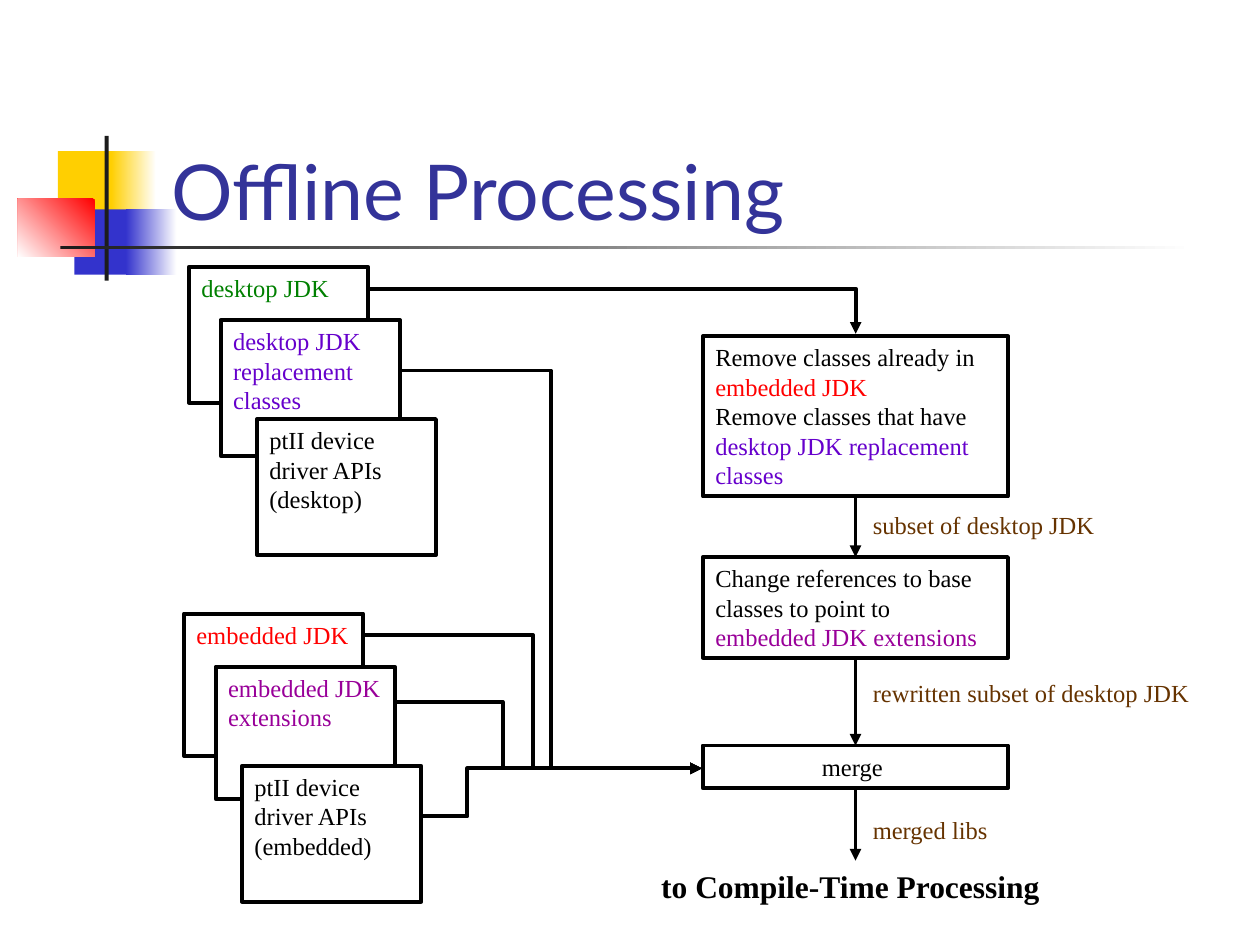
from lxml import etree
from pptx import Presentation
from pptx.dml.color import RGBColor
from pptx.enum.shapes import MSO_CONNECTOR, MSO_SHAPE
from pptx.enum.text import MSO_ANCHOR, PP_ALIGN
from pptx.oxml.ns import qn
from pptx.util import Cm, Pt

RECT = MSO_SHAPE.RECTANGLE
STRAIGHT, ELBOW = MSO_CONNECTOR.STRAIGHT, MSO_CONNECTOR.ELBOW
TOP, BOTTOM = MSO_ANCHOR.TOP, MSO_ANCHOR.BOTTOM
LEFT, CENTER = PP_ALIGN.LEFT, PP_ALIGN.CENTER
SERIF, SANS = "Times New Roman", "Lato"
STROKE = Pt(2.25)
COLORS = {
    "white": "FFFFFF", "black": "000000", "ink": "1C1C1C", "title": "333399",
    "yellow": "FFCF01", "blue": "3333CC", "red": "FF0000", "green": "008000",
    "violet": "6600CC", "purple": "990099", "brown": "663300",
}


def rgb(name):
    """Return the named colour."""
    return RGBColor.from_string(COLORS[name])


def write(frame, paras, size=14, font=SERIF, bold=False, align=LEFT, anchor=TOP):
    """Fill a frame with paragraphs of (text, colour) runs."""
    frame.word_wrap = True
    frame.vertical_anchor = anchor
    for i, parts in enumerate(paras):
        para = frame.add_paragraph() if i else frame.paragraphs[0]
        para.alignment = align
        for text, color in parts:
            run = para.add_run()
            run.text = text
            run.font.name, run.font.size, run.font.bold = font, Pt(size), bold
            run.font.color.rgb = rgb(color)


def label(slide, x, y, w, h, text, color, **style):
    """Add a one-line text box."""
    box = slide.shapes.add_textbox(Cm(x), Cm(y), Cm(w), Cm(h))
    write(box.text_frame, [[(text, color)]], **style)


def block(slide, x, y, w, h, color, fade=None, angle=0):
    """Add a borderless rectangle, plain or fading to a second colour."""
    shape = slide.shapes.add_shape(RECT, Cm(x), Cm(y), Cm(w), Cm(h))
    shape.shadow.inherit = False
    shape.line.fill.background()
    if fade:
        shape.fill.gradient()
        shape.fill.gradient_angle = angle
        for stop, name in zip(shape.fill.gradient_stops, (color, fade)):
            stop.color.rgb = rgb(name)
    else:
        shape.fill.solid()
        shape.fill.fore_color.rgb = rgb(color)
    return shape


def card(slide, x, y, w, h, paras, align=LEFT):
    """Add a white outlined box with text."""
    shape = block(slide, x, y, w, h, "white")
    shape.line.color.rgb = rgb("black")
    shape.line.width = STROKE
    write(shape.text_frame, paras, align=align)


def arrow(slide, x1, y1, x2, y2, kind=STRAIGHT):
    """Add a black line with an arrowhead and return it."""
    line = slide.shapes.add_connector(kind, Cm(x1), Cm(y1), Cm(x2), Cm(y2))
    line.line.color.rgb = rgb("black")
    line.line.width = STROKE
    props = line._element.spPr
    etree.SubElement(props.find(qn("a:ln")), qn("a:tailEnd"), type="triangle")
    etree.SubElement(props, qn("a:effectLst"))
    return line


def logo(slide, x, y):
    """Draw the coloured squares, the bar and the title rule."""
    block(slide, x + 0.81, y + 0.31, 1.22, 1.32, "yellow")
    block(slide, x + 1.88, y + 0.31, 0.91, 1.32, "yellow", "white")
    block(slide, x + 1.14, y + 1.48, 1.17, 1.32, "blue")
    block(slide, x + 2.18, y + 1.48, 1.02, 1.32, "blue", "white")
    block(slide, x, y + 1.27, 1.55, 1.17, "red", "white", 225)
    block(slide, x + 1.75, y, 0.08, 2.92, "ink")
    block(slide, x + 0.86, y + 2.21, 22.86, 0.08, "ink", "white")


def stack(slide, x, y, cards):
    """Draw overlapping cards from back to front."""
    for dx, dy, h, paras in cards:
        card(slide, x + dx, y + dy, 3.61, h, paras)


def links(slide, x, y):
    """Draw the bent arrows from the cards to the flow."""
    end = x + 6.86
    for dx, dy, bend in ((1.17, 10.64, 2.13), (0.66, 8.33, 2.84),
                         (0, 6.98, 3.45), (0.76, 1.65, 3.81)):
        line = arrow(slide, x + dx, y + dy, end, y + 9.67, ELBOW)
        ratio = (bend - dx) / (6.86 - dx)
        guides = line._element.spPr.find(qn("a:prstGeom")).find(qn("a:avLst"))
        etree.SubElement(guides, qn("a:gd"), name="adj1",
                         fmla=f"val {round(ratio * 100000)}")
    line = arrow(slide, x + 0.13, y, x + 9.96, y + 0.91, ELBOW)
    line._element.spPr.find(qn("a:prstGeom")).set("prst", "bentConnector2")


def flow(slide, x, y, w):
    """Draw the column of steps with its arrows and labels."""
    mid = x + w / 2
    for start, stop in ((2.31, 4.45), (6.12, 8.25), (9.09, 10.57)):
        arrow(slide, mid, y + start, mid, y + stop)
    for dy, wide, text in ((3.38, 6.15, "subset of desktop JDK"),
                           (6.76, 7.42, "rewritten subset of desktop JDK"),
                           (9.53, 3.07, "merged libs")):
        label(slide, mid + 0.1, y + dy, wide, 0.86, text, "brown")
    steps = (
        (0, 3.23, LEFT, [
            [("Remove classes already in ", "black"), ("embedded JDK", "red")],
            [("Remove classes that have ", "black"),
             ("desktop JDK replacement classes", "violet")]]),
        (4.45, 2.03, LEFT, [
            [("Change references to base classes to point to ", "black"),
             ("embedded JDK extensions", "purple")]]),
        (8.25, 0.86, CENTER, [[("merge ", "black")]]),
    )
    for dy, h, align, paras in steps:
        card(slide, x, y + dy, w, h, paras, align)
    label(slide, x - 1.47, y + 10.57, 8.89, 1.02, "to Compile-Time Processing",
          "black", size=18, bold=True, align=CENTER)


def main():
    """Build the slide and save it."""
    deck = Presentation()
    deck.slide_width, deck.slide_height = Cm(25.4), Cm(19.05)
    slide = deck.slides.add_slide(deck.slide_layouts[6])
    logo(slide, 0.36, 2.74)
    label(slide, 3.2, 1.7, 21.64, 3.18, "Offline Processing", "title",
          size=44, font=SANS, anchor=BOTTOM)
    driver = [("ptII device driver APIs", "black")]
    stack(slide, 3.81, 5.38, (
        (0, 0, 2.74, [[("desktop JDK", "green")]]),
        (0.64, 1.07, 2.74, [[("desktop JDK replacement classes", "violet")]]),
        (1.37, 3.07, 2.74, [driver, [("(desktop)", "black")]])))
    stack(slide, 3.71, 12.37, (
        (0, 0, 2.87, [[("embedded JDK", "red")]]),
        (0.64, 1.07, 2.67, [[("embedded JDK extensions", "purple")]]),
        (1.17, 3.07, 2.74, [driver, [("(embedded)", "black")]])))
    links(slide, 7.29, 5.82)
    flow(slide, 14.17, 6.78, 6.15)
    deck.save("out.pptx")


if __name__ == "__main__":
    main()
